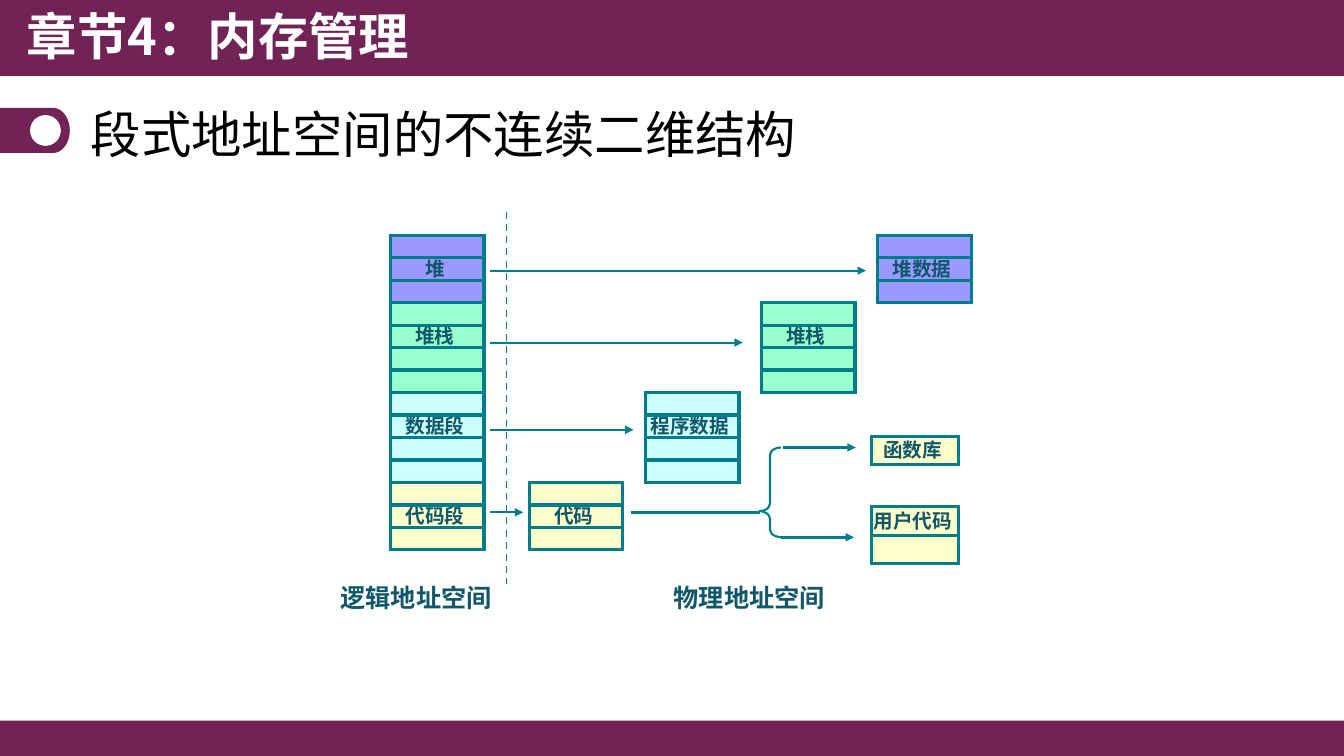
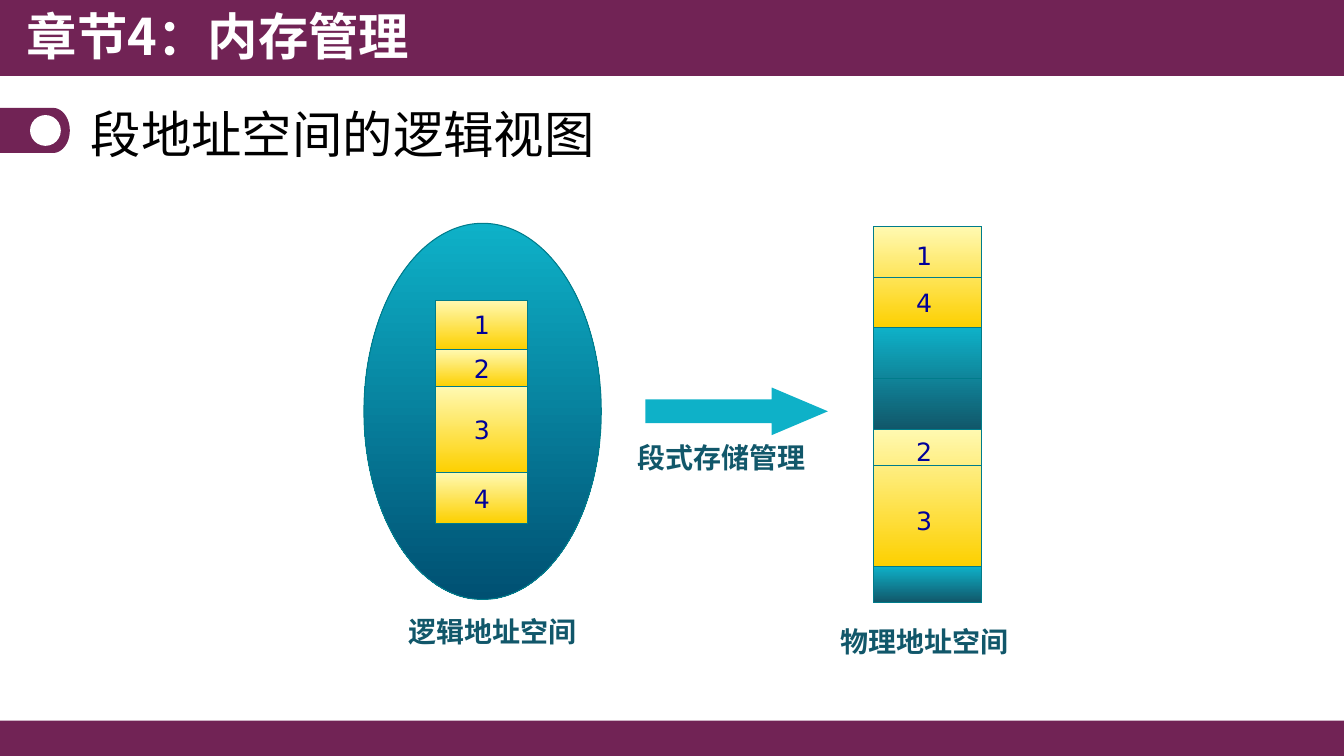
import dataclasses
import math

import lxml.etree
import pptx
import pptx.dml.color
import pptx.enum.dml
import pptx.enum.lang
import pptx.enum.shapes
import pptx.enum.text
import pptx.oxml.ns
import pptx.shapes.autoshape
import pptx.slide
import pptx.text.text
import pptx.util

Pt = pptx.util.Pt
qn = pptx.oxml.ns.qn
SHAPE = pptx.enum.shapes.MSO_SHAPE
ALIGN = pptx.enum.text.PP_ALIGN
ANCHOR = pptx.enum.text.MSO_ANCHOR
Shape = pptx.shapes.autoshape.Shape
Slide = pptx.slide.Slide
Box = tuple[float, float, float, float]
Fill = str | tuple[str, str] | None

PLUM, WHITE, BLACK = "712355", "FFFFFF", "000000"
TEAL, INK, NAVY, CYAN = "007C8B", "11576A", "000099", "0EB1C8"
LILAC, MINT, AQUA, CREAM = "9999FF", "99FFCC", "CCFFFF", "FFFFCC"
GOLD, SEA, DEEP = ("FFF9B1", "FDD000"), (CYAN, INK), (CYAN, "005072")

SLIDE_W, SLIDE_H = 960, 540
CELL_W, CELL_H = 67, 16.05
LIBRARY_W, LIBRARY_H = 62.5, 20.2
LOGICAL_X, PHYSICAL_X, PHYSICAL_STEP = 278.8, 378, 82.9


@dataclasses.dataclass(frozen=True)
class Style:
    size: float
    colour: str
    bold: bool = False
    face: str = "Noto Sans CJK SC"


TITLE = Style(36, WHITE, True)
SUBTITLE = Style(36, BLACK)
CELL_LABEL = Style(14, INK, True)
SPACE_LABEL = Style(18, INK, True)
CAPTION = Style(20, INK, True)
NUMBER = Style(18, NAVY, face="DejaVu Sans")


@dataclasses.dataclass(frozen=True)
class Segment:
    name: str
    mapped_name: str
    colour: str
    rows: int
    column: int
    arrow_y: float
    arrow_end: float


@dataclasses.dataclass(frozen=True)
class Area:
    """A stretch of physical memory; split is the offset of its dividing line."""
    fill: tuple[str, str]
    height: float
    split: float | None = None


SEGMENTS = [
    Segment("堆", "堆数据", LILAC, 3, 3, 193.3, 618.5),
    Segment("堆栈", "堆栈", MINT, 4, 2, 244.7, 530.6),
    Segment("数据段", "程序数据", AQUA, 4, 1, 307, 452.5),
    Segment("代码段", "代码", CREAM, 3, 0, 366, 373.7),
]
LOGICAL_BLOCKS = [("1", 35.3), ("2", 26.7), ("3", 61.3), ("4", 36)]
AREAS = [Area(GOLD, 72.2, 36), Area(SEA, 72.5, 36.3), Area(GOLD, 97.8, 25.8), Area(SEA, 25.9)]
PHYSICAL_NUMBERS = [("1", 182.5), ("4", 215.9), ("2", 322.3), ("3", 371.5)]


def rgb(code: str) -> pptx.dml.color.RGBColor:
    return pptx.dml.color.RGBColor.from_string(code)


def write(tf: pptx.text.text.TextFrame, text: str, style: Style,
          align: ALIGN = ALIGN.LEFT, **frame: object) -> None:
    """Fill a text frame with one run; frame holds further frame attributes."""
    for key, value in frame.items():
        setattr(tf, key, value)
    p = tf.paragraphs[0]
    p.alignment = align
    r = p.add_run()
    r.text = text
    fmt = {"size": Pt(style.size), "bold": style.bold, "name": style.face,
           "language_id": pptx.enum.lang.MSO_LANGUAGE_ID.SIMPLIFIED_CHINESE}
    for key, value in fmt.items():
        setattr(r.font, key, value)
    r.font.color.rgb = rgb(style.colour)
    lxml.etree.SubElement(r.font._element, qn("a:ea"), typeface=style.face)


def add_text(s: Slide, box: Box, text: str, style: Style, align: ALIGN = ALIGN.LEFT,
             wrap: bool = True, anchor: ANCHOR = ANCHOR.TOP) -> None:
    sp = s.shapes.add_textbox(*map(Pt, box))
    write(sp.text_frame, text, style, align, word_wrap=wrap, vertical_anchor=anchor)


def add_centred(s: Slide, x: float, y: float, text: str, style: Style,
                w: float = 138, h: float = 32) -> None:
    """Place one unwrapped line of text around a centre point."""
    add_text(s, (x - w / 2, y - h / 2, w, h), text, style, ALIGN.CENTER, False, ANCHOR.MIDDLE)


def paint(sp: Shape, fill: Fill, line_width: float = 0) -> None:
    sp.shadow.inherit = False
    if fill is None:
        sp.fill.background()
    elif isinstance(fill, str):
        sp.fill.solid()
        sp.fill.fore_color.rgb = rgb(fill)
    else:
        sp.fill.gradient()
        sp.fill.gradient_angle = 270
        for position, (stop, colour) in enumerate(zip(sp.fill.gradient_stops, fill)):
            stop.position = position
            stop.color.rgb = rgb(colour)
    if line_width:
        sp.line.color.rgb = rgb(TEAL)
        sp.line.width = Pt(line_width)
        lxml.etree.SubElement(sp.line._get_or_add_ln(), qn("a:miter"), lim="800000")
    else:
        sp.line.fill.background()


def add_shape(s: Slide, kind: SHAPE, box: Box, fill: Fill, line_width: float = 0,
              adjustments: tuple[float, ...] = ()) -> Shape:
    sp = s.shapes.add_shape(kind, *map(Pt, box))
    paint(sp, fill, line_width)
    for i, value in enumerate(adjustments):
        sp.adjustments[i] = value
    return sp


def add_line(s: Slide, x1: float, y1: float, x2: float, y2: float, width: float,
             arrow: bool = False, dashed: bool = False) -> None:
    straight = pptx.enum.shapes.MSO_CONNECTOR.STRAIGHT
    sp = s.shapes.add_connector(straight, *map(Pt, (x1, y1, x2, y2)))
    sp.line.color.rgb = rgb(TEAL)
    sp.line.width = Pt(width)
    if dashed:
        sp.line.dash_style = pptx.enum.dml.MSO_LINE.DASH
    if arrow:
        lxml.etree.SubElement(sp.line._get_or_add_ln(), qn("a:tailEnd"), type="triangle")
    lxml.etree.SubElement(sp._element.spPr, qn("a:effectLst"))


def add_cells(s: Slide, x: float, y: float, rows: int, colour: str, label: str,
              label_row: int = 1, w: float = CELL_W, h: float = CELL_H) -> None:
    """Outline equal memory cells over one block of colour and label one of them."""
    add_shape(s, SHAPE.RECTANGLE, (x, y, w, rows * h), colour)
    for row in range(rows):
        add_shape(s, SHAPE.RECTANGLE, (x, y + row * h, w, h), None, 2.25)
    label_y = y + (label_row + 0.5) * h - 0.4
    add_centred(s, x + w / 2 - 1.7, label_y, label, CELL_LABEL, 73.5, 22.3)


def add_tab(s: Slide) -> None:
    """Draw the round-ended tab with its white dot, left of the subtitle."""
    cx, cy, rx, ry = 37.9, 93.2, 12, 16.1
    angles = [math.radians(a) for a in range(-90, 91, 6)]
    arc = [(Pt(cx + rx * math.cos(a)), Pt(cy + ry * math.sin(a))) for a in angles]
    outline = s.shapes.build_freeform(0, Pt(cy - ry))
    outline.add_line_segments(arc + [(0, Pt(cy + ry))])
    paint(outline.convert_to_shape(), PLUM)
    add_shape(s, SHAPE.OVAL, (21.5, 82.2, 22, 22), WHITE)


def add_frame(prs: pptx.presentation.Presentation, subtitle: str) -> Slide:
    """Add a slide with the shared bands, tab, title and its own subtitle."""
    s = prs.slides.add_slide(prs.slide_layouts[6])
    for top, height in ((514.8, SLIDE_H - 514.8), (0, 54.3)):
        add_shape(s, SHAPE.RECTANGLE, (0, top, SLIDE_W, height), PLUM)
    add_tab(s)
    add_text(s, (12, 0, 480, 55), "章节4：内存管理", TITLE)
    add_text(s, (57.7, 68.5, 830, 54), subtitle, SUBTITLE, anchor=ANCHOR.MIDDLE)
    return s


def add_mapping_slide(prs: pptx.presentation.Presentation) -> None:
    s = add_frame(prs, "段式地址空间的不连续二维结构")
    y = 168.1
    for seg in SEGMENTS:
        add_cells(s, LOGICAL_X, y, seg.rows, seg.colour, seg.name)
        mapped_x = PHYSICAL_X + seg.column * PHYSICAL_STEP
        add_cells(s, mapped_x, y, seg.rows, seg.colour, seg.mapped_name)
        add_line(s, 350, seg.arrow_y, seg.arrow_end, seg.arrow_y, 1.5, arrow=True)
        y += seg.rows * CELL_H

    for top, rows, label in ((311.8, 1, "函数库"), (362, 2, "用户代码")):
        add_cells(s, 622.4, top, rows, CREAM, label, 0, LIBRARY_W, LIBRARY_H)
    add_line(s, 451, 365.9, 543, 365.9, 2)
    add_shape(s, SHAPE.LEFT_BRACE, (542, 319.7, 16, 64), None, 1.5, (0.33, 0.71))
    for branch_x, branch_y in ((559.3, 319.6), (558, 383.8)):
        add_line(s, branch_x, branch_y, branch_x + 52, branch_y, 2, arrow=True)

    add_line(s, 361.8, 151.3, 361.8, 417.5, 1.25, dashed=True)
    for x, label in ((297.3, "逻辑地址空间"), (535.3, "物理地址空间")):
        add_centred(s, x, 426.8, label, SPACE_LABEL)


def add_view_slide(prs: pptx.presentation.Presentation) -> None:
    s = add_frame(prs, "段地址空间的逻辑视图")
    add_shape(s, SHAPE.OVAL, (260, 159.5, 169.5, 268.7), DEEP, 0.75)
    y = 214.4
    for number, height in LOGICAL_BLOCKS:
        sp = add_shape(s, SHAPE.RECTANGLE, (311.2, y, 66, height), GOLD, 0.75)
        write(sp.text_frame, number, NUMBER, ALIGN.CENTER, word_wrap=False,
              vertical_anchor=ANCHOR.MIDDLE)
        y += height

    x, y, width = 623.8, 162, 77.4
    for area in AREAS:
        add_shape(s, SHAPE.RECTANGLE, (x, y, width, area.height), area.fill, 0.75)
        if area.split:
            add_line(s, x, y + area.split, x + width, y + area.split, 0.75)
        y += area.height
    for number, centre_y in PHYSICAL_NUMBERS:
        add_centred(s, 660, centre_y, number, NUMBER, 26, 29.5)

    add_shape(s, SHAPE.RIGHT_ARROW, (461, 276.8, 130.4, 34), CYAN, adjustments=(0.5, 1.18))
    add_text(s, (448.5, 311, 180, 32), "段式存储管理", CAPTION)
    add_centred(s, 351.8, 451, "逻辑地址空间", CAPTION)
    add_centred(s, 660.5, 458, "物理地址空间", CAPTION)


def main() -> None:
    prs = pptx.Presentation()
    prs.slide_width, prs.slide_height = Pt(SLIDE_W), Pt(SLIDE_H)
    add_mapping_slide(prs)
    add_view_slide(prs)
    prs.save("out.pptx")


if __name__ == "__main__":
    main()
